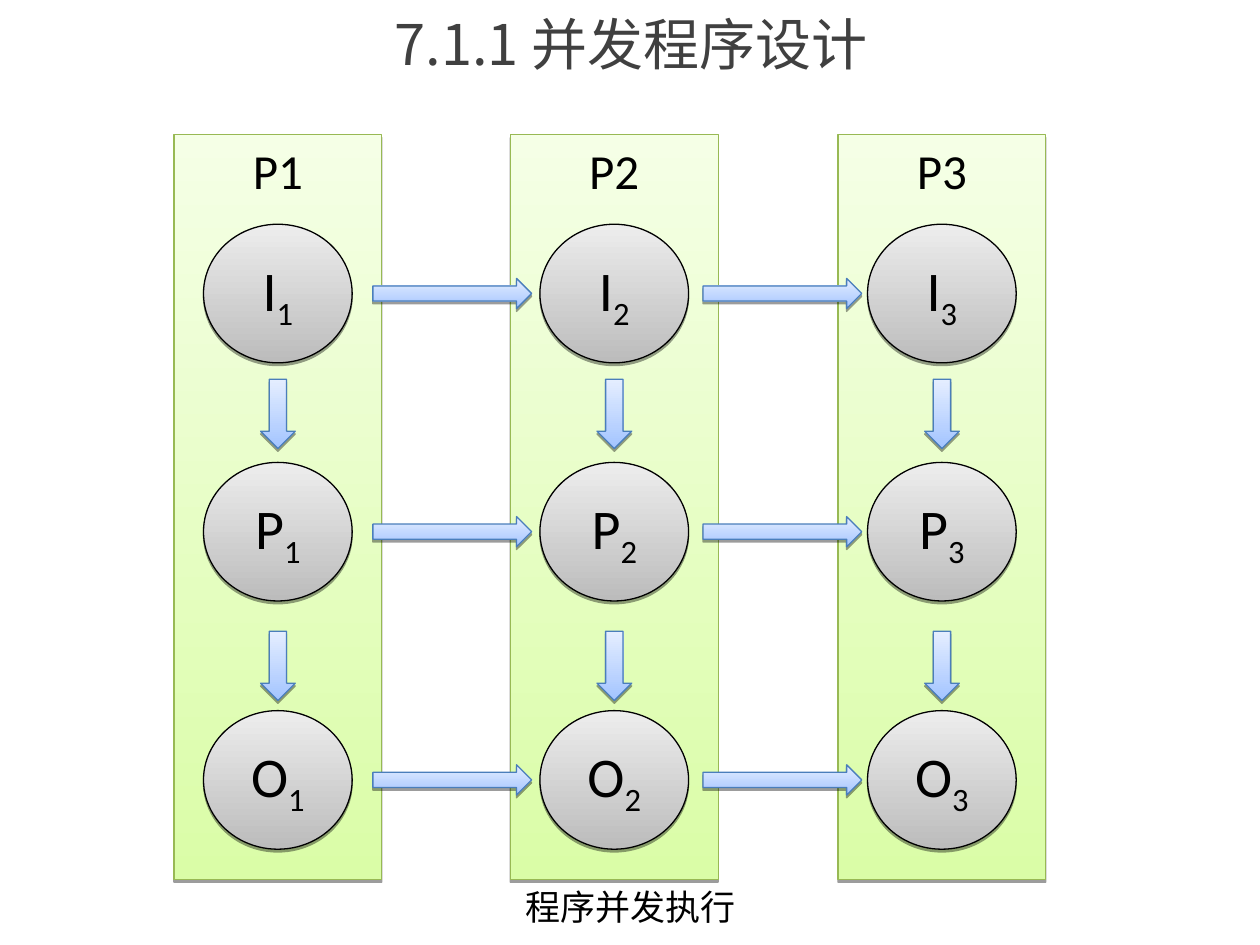
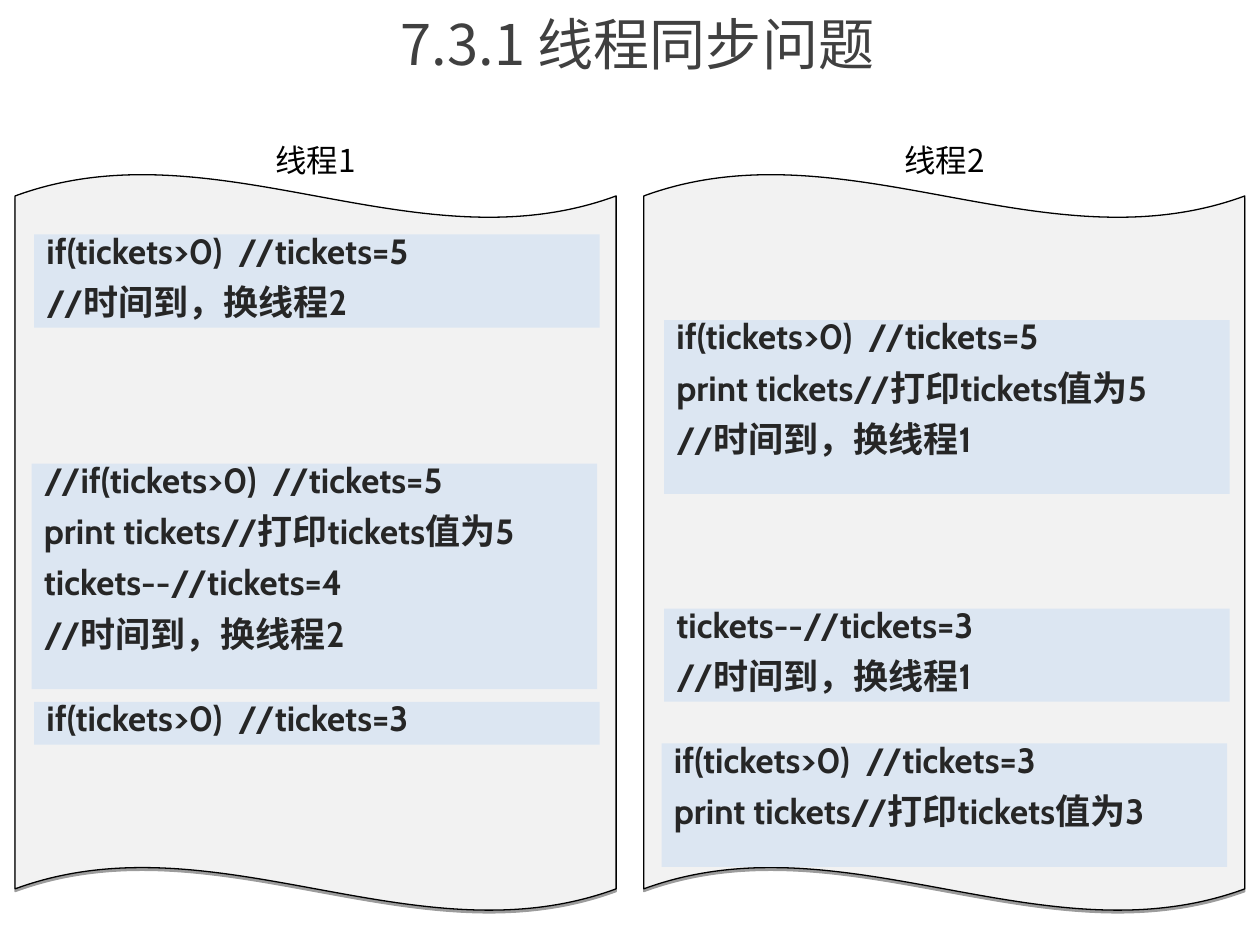
from typing import NamedTuple, Optional

from lxml import etree
from pptx import Presentation
from pptx import util as u
from pptx.dml.color import RGBColor
from pptx.enum import shapes, text
from pptx.oxml.ns import qn

# Slide grid: 100 columns by 75 rows
WIDTH, HEIGHT = u.Inches(10), u.Inches(7.5)
COLS, ROWS = 100, 75

# Colours
BLACK = RGBColor(0x00, 0x00, 0x00)
TITLE_GREY = RGBColor(0x40, 0x40, 0x40)
CODE_GREY = RGBColor(0x26, 0x26, 0x26)
PAPER = RGBColor(0xF2, 0xF2, 0xF2)
CODE_BLUE = RGBColor(0xDC, 0xE6, 0xF2)
LANE_EDGE = RGBColor(0x98, 0xB9, 0x54)
ARROW_EDGE = RGBColor(0x4A, 0x7E, 0xBB)
# Gradients run from bottom to top
GREEN = (RGBColor(0xDA, 0xFD, 0xA7), RGBColor(0xF5, 0xFF, 0xE6))
GREY = (RGBColor(0xBC, 0xBC, 0xBC), RGBColor(0xED, 0xED, 0xED))
BLUE = (RGBColor(0xA3, 0xC4, 0xFF), RGBColor(0xE5, 0xEE, 0xFF))

CJK = "Noto Sans CJK SC"
SHAPE = shapes.MSO_SHAPE
CENTER, LEFT = text.PP_ALIGN.CENTER, text.PP_ALIGN.LEFT
TOP, MIDDLE = text.MSO_ANCHOR.TOP, text.MSO_ANCHOR.MIDDLE


class Box(NamedTuple):
    col: float
    row: float
    cols: float
    rows: float

    def emu(self) -> tuple:
        w, h = WIDTH / COLS, HEIGHT / ROWS
        return tuple(round(n) for n in
                     (self.col * w, self.row * h, self.cols * w, self.rows * h))


class Look(NamedTuple):
    kind: SHAPE
    fill: object
    edge: Optional[RGBColor] = None


class Style(NamedTuple):
    font: dict
    color: RGBColor
    paragraph: dict
    anchor: text.MSO_ANCHOR = TOP
    gap: float = 0


class CodeBlock(NamedTuple):
    box: Box
    lines: tuple


LANE = Look(SHAPE.RECTANGLE, GREEN, LANE_EDGE)
STEP = Look(SHAPE.OVAL, GREY, BLACK)
DOWN = Look(SHAPE.DOWN_ARROW, BLUE, ARROW_EDGE)
RIGHT = Look(SHAPE.RIGHT_ARROW, BLUE, ARROW_EDGE)
SHEET = Look(SHAPE.WAVE, PAPER, BLACK)
CODE_BAND = Look(SHAPE.RECTANGLE, CODE_BLUE)


def centred(size: float, font: str, color=BLACK, anchor=TOP) -> Style:
    return Style({"name": font, "size": u.Pt(size)}, color,
                 {"alignment": CENTER}, anchor)


TITLE = centred(32, CJK, TITLE_GREY, MIDDLE)
LANE_NAME = centred(28, "Calibri")
STEP_NAME = centred(32, "Calibri", anchor=MIDDLE)
CAPTION = centred(20, CJK)
THREAD_NAME = centred(18, CJK)
CODE = Style({"name": "Cabin", "size": u.Pt(20), "bold": True}, CODE_GREY,
             {"alignment": LEFT, "line_spacing": 0.7}, gap=12.5)


def add_shadow(parent, dist: float, angle: int, alpha: int) -> None:
    """Append a sharp black shadow to shape or run properties."""
    effects = parent.find(qn("a:effectLst"))
    if effects is None:
        effects = etree.Element(qn("a:effectLst"))
        fill = parent.find(qn("a:solidFill"))
        fill.addnext(effects)
    shadow = etree.SubElement(effects, qn("a:outerShdw"), blurRad="0",
                              dist=str(int(u.Pt(dist))), dir=str(angle * 60000),
                              algn="tl", rotWithShape="0")
    clr = etree.SubElement(shadow, qn("a:srgbClr"), val=str(BLACK))
    etree.SubElement(clr, qn("a:alpha"), val=str(alpha * 1000))


def add_run(p, words: str, style: Style):
    r = p.add_run()
    r.text = words
    for name, value in style.font.items():
        setattr(r.font, name, value)
    r.font.color.rgb = style.color
    latin = r._r.rPr.find(qn("a:latin"))
    latin.addnext(etree.Element(qn("a:ea"), typeface=CJK))
    return r


def write(sp, lines: tuple, style: Style) -> None:
    tf = sp.text_frame
    margins = dict(margin_left=0.1, margin_right=0.1,
                   margin_top=0.05, margin_bottom=0.05)
    for name, value in margins.items():
        setattr(tf, name, u.Inches(value))
    tf.word_wrap, tf.vertical_anchor = True, style.anchor
    for i, line in enumerate(lines):
        p = tf.add_paragraph() if i else tf.paragraphs[0]
        for name, value in style.paragraph.items():
            setattr(p, name, value)
        if i and style.gap:
            p.space_before = u.Pt(style.gap)
        add_run(p, line, style)


def draw(s, look: Look, box: Box):
    sp = s.shapes.add_shape(look.kind, *box.emu())
    sp.shadow.inherit = False
    if isinstance(look.fill, RGBColor):
        sp.fill.solid()
        sp.fill.fore_color.rgb = look.fill
    else:
        sp.fill.gradient()
        sp.fill.gradient_angle = 90
        for stop, color in zip(sp.fill.gradient_stops, look.fill):
            stop.color.rgb = color
    if look.edge is None:
        sp.line.fill.background()
    else:
        sp.line.color.rgb = look.edge
        sp.line.width = u.Pt(0.75)
        add_shadow(sp._element.spPr, 1.6, 90, 38)
    return sp


def label(s, box: Box, words: str, style: Style):
    sp = s.shapes.add_textbox(*box.emu())
    write(sp, (words,), style)
    return sp


def new_slide(prs, title: str):
    s = prs.slides.add_slide(prs.slide_layouts[6])
    sp = label(s, Box(7.2, 0, 86.8, 6.8), title, TITLE)
    r = sp.text_frame.paragraphs[0].runs[0]
    add_shadow(r._r.rPr, 3, 45, 43)
    return s


# Slide 1: three programs, each with input, processing and output
LANE_COLS = (13.8, 40.5, 66.5)
STEP_ROWS = {"I": 17.8, "P": 36.7, "O": 56.4}
DOWN_ROWS = (30.1, 50.1)
RIGHT_COLS = (29.6, 55.8)


def concurrency_slide(prs) -> None:
    s = new_slide(prs, "7.1.1 并发程序设计 ")
    for number, col in enumerate(LANE_COLS, 1):
        draw(s, LANE, Box(col, 10.7, 16.5, 59.1))
        label(s, Box(col, 10.7, 16.5, 5.7), f"P{number}", LANE_NAME)
        for letter, row in STEP_ROWS.items():
            sp = draw(s, STEP, Box(col + 2.35, row, 11.8, 11))
            write(sp, (letter,), STEP_NAME)
            r = add_run(sp.text_frame.paragraphs[0], str(number), STEP_NAME)
            r._r.rPr.set("baseline", "-25000")
        for row in DOWN_ROWS:
            draw(s, DOWN, Box(col + 6.88, row, 2.75, 5.5))
    for row in STEP_ROWS.values():
        for col in RIGHT_COLS:
            draw(s, RIGHT, Box(col, row + 4.3, 12.6, 2.4))
    label(s, Box(34.2, 69.8, 31.7, 4), "程序并发执行", CAPTION)


# Slide 2: two threads taking turns on one variable
THREAD_COLS = (1.2, 51.1)
CODE_COLS = 44.9
CODE_BLOCKS = (
    CodeBlock(Box(2.7, 18.6, CODE_COLS, 7.4),
              ("if(tickets>0)  //tickets=5", "//时间到，换线程2")),
    CodeBlock(Box(52.7, 25.4, CODE_COLS, 13.8),
              ("if(tickets>0)  //tickets=5", "print tickets//打印tickets值为5",
               "//时间到，换线程1")),
    CodeBlock(Box(2.5, 36.8, CODE_COLS, 17.9),
              ("//if(tickets>0)  //tickets=5", "print tickets//打印tickets值为5",
               "tickets--//tickets=4", "//时间到，换线程2")),
    CodeBlock(Box(52.7, 48.3, CODE_COLS, 7.4),
              ("tickets--//tickets=3", "//时间到，换线程1")),
    CodeBlock(Box(2.7, 55.7, CODE_COLS, 3.4),
              ("if(tickets>0)  //tickets=3",)),
    CodeBlock(Box(52.5, 59, CODE_COLS, 9.8),
              ("if(tickets>0)  //tickets=3", "print tickets//打印tickets值为3")),
)


def thread_slide(prs) -> None:
    s = new_slide(prs, "7.3.1 线程同步问题")
    for number, col in enumerate(THREAD_COLS, 1):
        sheet = draw(s, SHEET, Box(col, 13.8, 47.7, 58.5))
        sheet.adjustments[0] = 0.03
        sheet.adjustments[1] = 0
        label(s, Box(col, 10.7, 47.7, 4), f"线程{number}", THREAD_NAME)
    for block in CODE_BLOCKS:
        write(draw(s, CODE_BAND, block.box), block.lines, CODE)


def main() -> None:
    prs = Presentation()
    prs.slide_width, prs.slide_height = WIDTH, HEIGHT
    concurrency_slide(prs)
    thread_slide(prs)
    prs.save("out.pptx")


if __name__ == "__main__":
    main()
